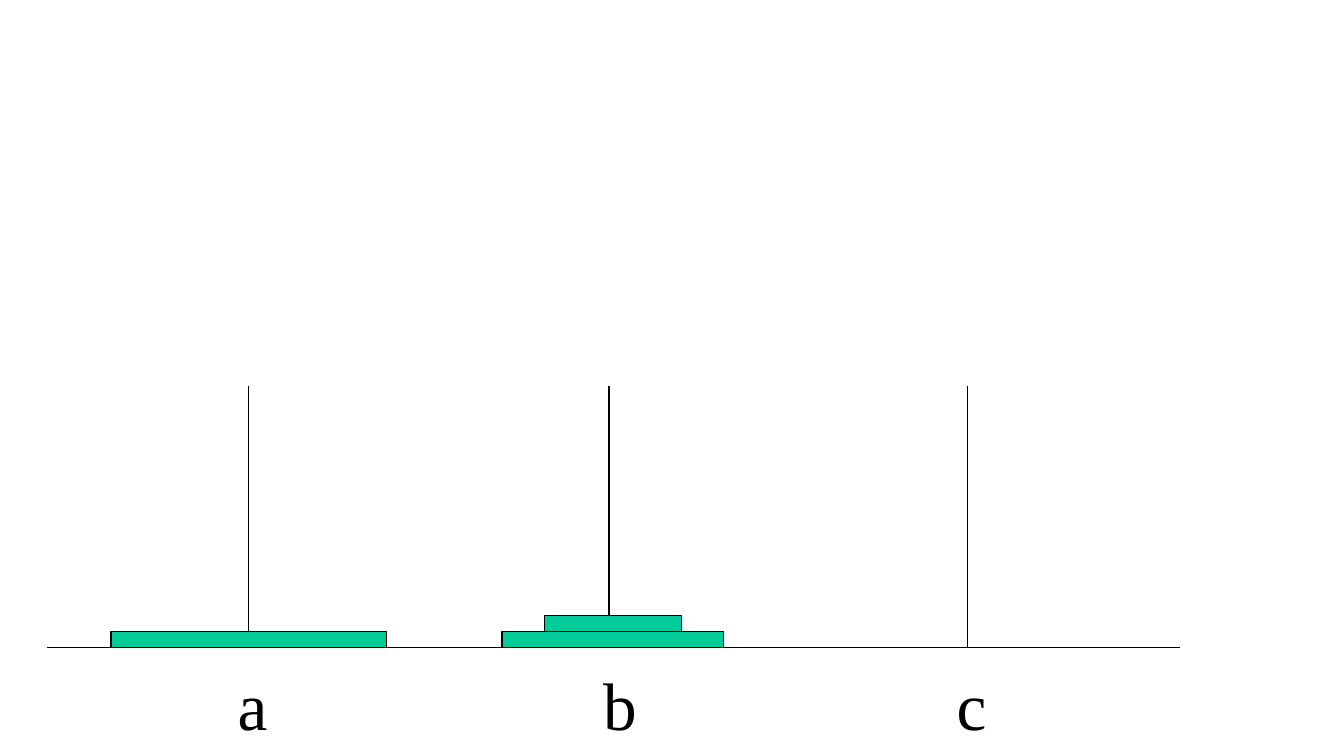
from lxml import etree
from pptx import Presentation
from pptx.dml.color import RGBColor
from pptx.enum.shapes import MSO_CONNECTOR, MSO_SHAPE
from pptx.oxml.ns import qn
from pptx.util import Inches, Pt

STRAIGHT = MSO_CONNECTOR.STRAIGHT
RECTANGLE = MSO_SHAPE.RECTANGLE
BLACK = RGBColor(0x00, 0x00, 0x00)
GREEN = RGBColor(0x00, 0xCC, 0x99)
LINE_WIDTH = Pt(0.75)
DISK_HEIGHT = 0.12
PEG_HEIGHT = 1.95
PEG_OFFSETS = (1.5, 4.18, 6.85)
STACK_OFFSETS = (1.5, 4.21, 6.85)
PEG_DISKS = ((2.05,), (1.65, 1.02), ())
LABEL_TABS = (2.72, 5.35)


def add_line(slide, x1, y1, x2, y2):
    line = slide.shapes.add_connector(
        STRAIGHT, Inches(x1), Inches(y1), Inches(x2), Inches(y2))
    line.line.color.rgb = BLACK
    line.line.width = LINE_WIDTH
    etree.SubElement(line._element.spPr, qn("a:effectLst"))


def add_disk(slide, center, bottom, width):
    disk = slide.shapes.add_shape(
        RECTANGLE, Inches(center - width / 2), Inches(bottom - DISK_HEIGHT),
        Inches(width), Inches(DISK_HEIGHT))
    disk.shadow.inherit = False
    disk.fill.solid()
    disk.fill.fore_color.rgb = GREEN
    disk.line.color.rgb = BLACK
    disk.line.width = LINE_WIDTH


def add_towers(slide, left, base, width):
    add_line(slide, left, base, left + width, base)
    for offset in PEG_OFFSETS:
        add_line(slide, left + offset, base - PEG_HEIGHT, left + offset, base)
    for offset, widths in zip(STACK_OFFSETS, PEG_DISKS):
        for level, disk_width in enumerate(widths):
            add_disk(slide, left + offset, base - level * DISK_HEIGHT, disk_width)


def add_peg_labels(slide, left, top, width, height):
    box = slide.shapes.add_textbox(
        Inches(left), Inches(top), Inches(width), Inches(height))
    box.text_frame.word_wrap = True
    paragraph = box.text_frame.paragraphs[0]
    paragraph.text = "a\tb\tc"
    tab_list = etree.SubElement(
        paragraph._p.get_or_add_pPr(), qn("a:tabLst"))
    for position in LABEL_TABS:
        etree.SubElement(
            tab_list, qn("a:tab"), pos=str(Inches(position)), algn="l")
    paragraph.font.name = "Times New Roman"
    paragraph.font.size = Pt(36)
    paragraph.font.color.rgb = BLACK


def main():
    presentation = Presentation()
    presentation.slide_width = Inches(10)
    presentation.slide_height = Inches(5.625)
    slide = presentation.slides.add_slide(presentation.slide_layouts[6])
    add_towers(slide, 0.35, 4.82, 8.43)
    add_peg_labels(slide, 1.67, 4.89, 5.77, 0.7)
    presentation.save("out.pptx")


if __name__ == "__main__":
    main()
